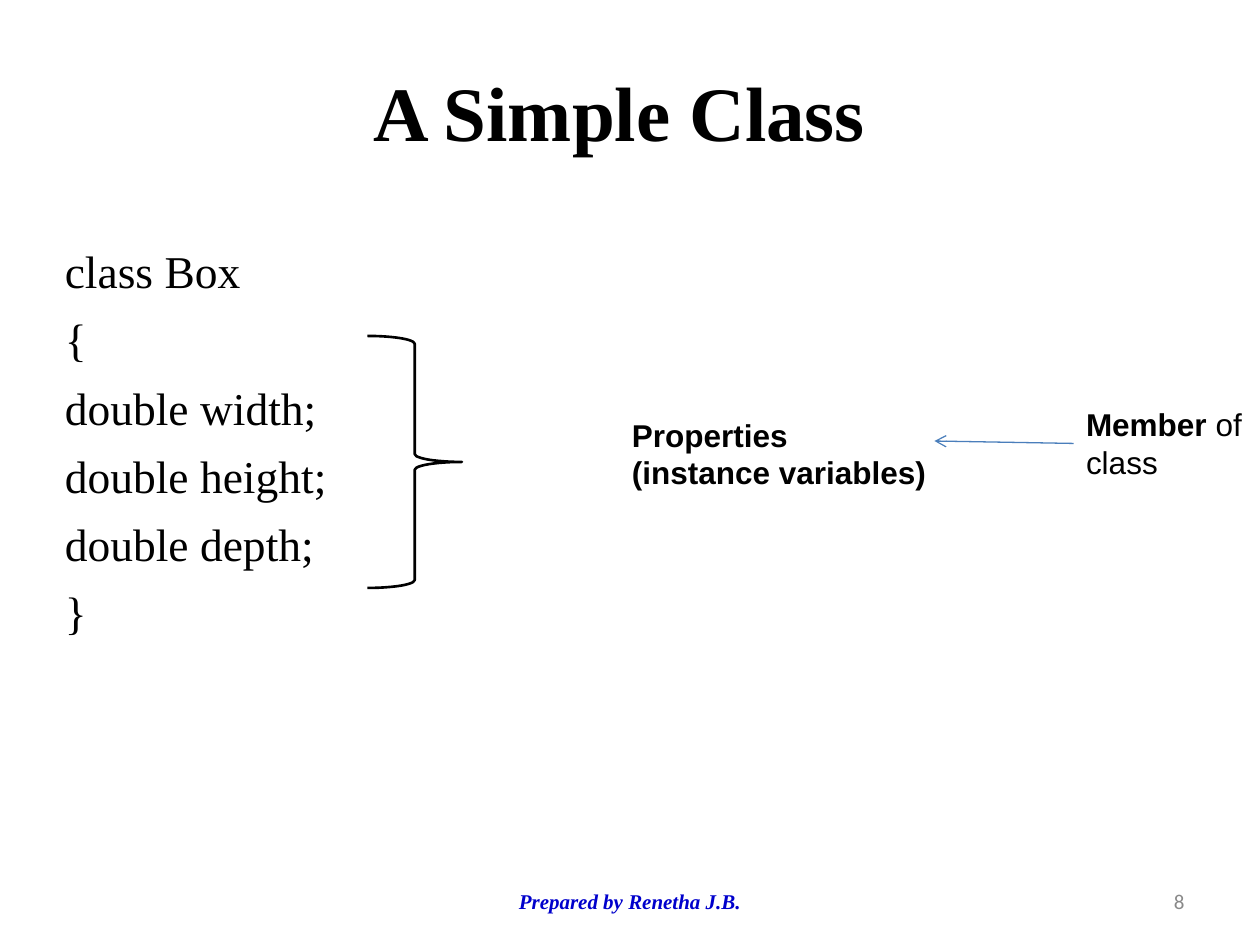
from lxml.etree import SubElement
from pptx import Presentation
from pptx.dml.color import RGBColor
from pptx.enum.shapes import MSO_CONNECTOR, MSO_SHAPE
from pptx.enum.text import MSO_ANCHOR, PP_ALIGN
from pptx.oxml.ns import qn
from pptx.util import Pt

COLORS = {"black": "000000", "footer": "0000CC", "number": "898989", "arrow": "4A7EBB"}
SERIF = "Times New Roman"


def style_font(font, name, size, color, bold=False, italic=False):
    font.name = name
    font.size = Pt(size)
    font.bold = bold
    font.italic = italic
    font.color.rgb = RGBColor.from_string(COLORS[color])


def add_text(page, place, text, name, size, color, align=PP_ALIGN.LEFT,
             anchor=MSO_ANCHOR.TOP, bold=False, italic=False):
    box = page.shapes.add_textbox(*[Pt(length) for length in place])
    frame = box.text_frame
    frame.word_wrap = True
    frame.vertical_anchor = anchor
    frame.text = text
    for para in frame.paragraphs:
        para.alignment = align
        for span in para.runs:
            style_font(span.font, name, size, color, bold, italic)
    return frame


deck = Presentation()
deck.slide_width = Pt(720)
deck.slide_height = Pt(540)
page = deck.slides.add_slide(deck.slide_layouts[6])

add_text(page, (30, 18, 648, 90), "A Simple Class", SERIF, 44, "black",
         PP_ALIGN.CENTER, MSO_ANCHOR.MIDDLE, bold=True)

code_lines = ["class Box", "{", "double width;", "double height;", "double depth;", "}"]
code = add_text(page, (30, 132, 648, 356), "\n".join(code_lines), SERIF, 26, "black",
                PP_ALIGN.JUSTIFY)
code.margin_top = Pt(7)
for para in code.paragraphs[1:]:
    para.space_before = Pt(7.8)

add_text(page, (246, 500.5, 228, 28.75), "Prepared by Renetha J.B.", SERIF, 12, "footer",
         PP_ALIGN.CENTER, MSO_ANCHOR.MIDDLE, bold=True, italic=True)
add_text(page, (516, 500.5, 168, 28.75), "8", "Calibri", 12, "number",
         PP_ALIGN.RIGHT, MSO_ANCHOR.MIDDLE)

add_text(page, (354, 234, 276, 50.4), "Properties\n(instance variables)", "Arial", 18, "black",
         bold=True)

brace = page.shapes.add_shape(MSO_SHAPE.RIGHT_BRACE, Pt(210), Pt(192), Pt(54), Pt(144))
brace.shadow.inherit = False
brace.fill.background()
brace.line.color.rgb = RGBColor.from_string(COLORS["black"])
brace.line.width = Pt(1.5)

member = add_text(page, (613.5, 228, 106.5, 50.4), "Member", "Arial", 18, "black", bold=True)
span = member.paragraphs[0].add_run()
span.text = " of class"
style_font(span.font, "Arial", 18, "black")

arrow = page.shapes.add_connector(MSO_CONNECTOR.STRAIGHT, Pt(613.5), Pt(253.4), Pt(534), Pt(252))
arrow.line.color.rgb = RGBColor.from_string(COLORS["arrow"])
arrow.line.width = Pt(0.75)
SubElement(arrow.line._get_or_add_ln(), qn("a:tailEnd"), type="arrow")
SubElement(arrow._element.spPr, qn("a:effectLst"))

deck.save("out.pptx")
